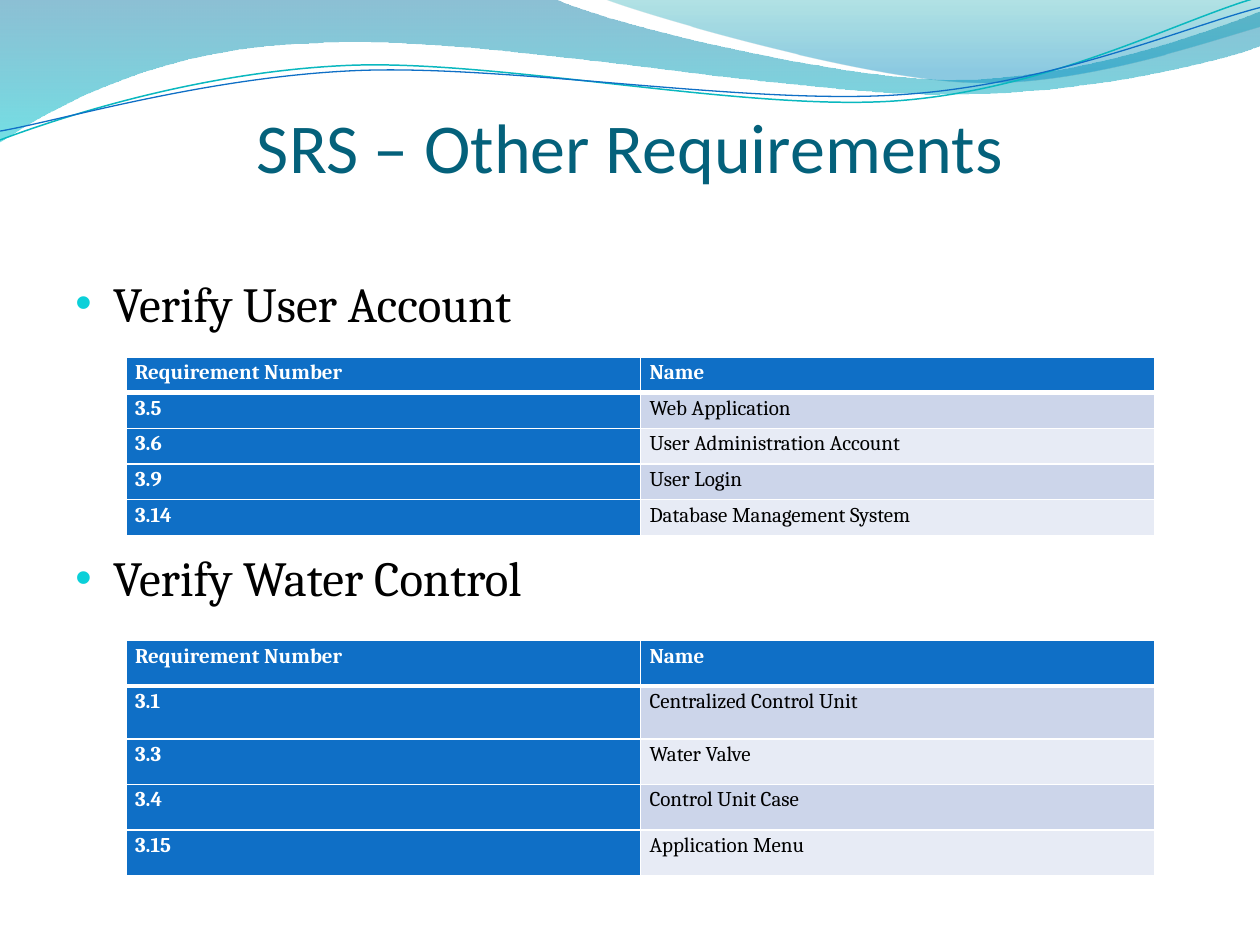
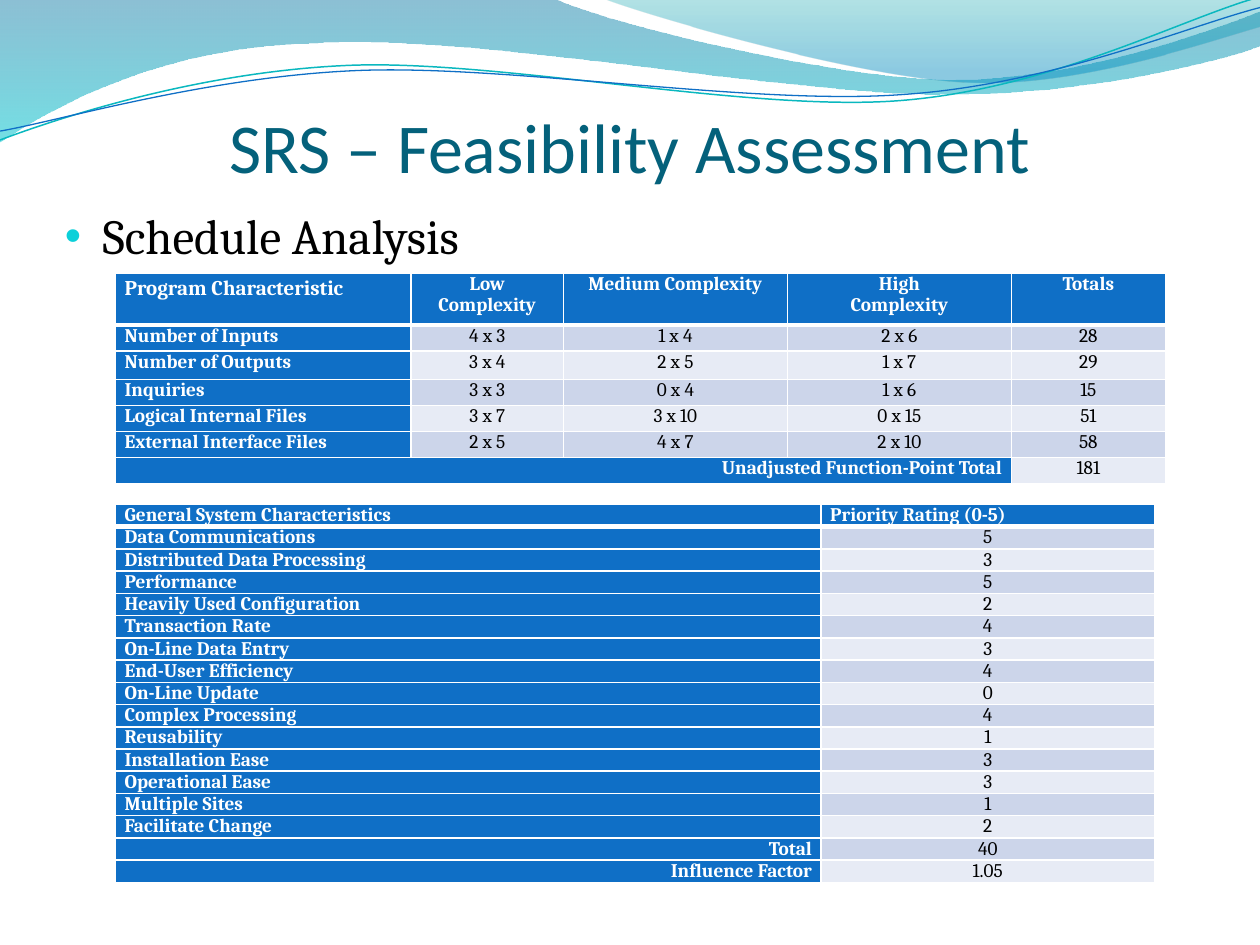
from lxml import etree
from pptx import Presentation
from pptx.dml.color import RGBColor
from pptx.enum import text
from pptx.oxml import ns
from pptx.util import Pt

COLOURS = {
    "title": "04617B", "body": "000000", "white": "FFFFFF", "bullet": "0BD0D9",
    "accent": "0F6FC6", "band_dark": "CCD5EA", "band_light": "E7EBF5",
    "teal_line": "0AB8BF", "deep_blue": "0074A1", "aqua": "00C6CF",
    "teal": "00A1A9", "sky": "008BBF",
}
LEFT, CENTER, RIGHT = text.PP_ALIGN.LEFT, text.PP_ALIGN.CENTER, text.PP_ALIGN.RIGHT

# Outlines in points: a start, then segments (one point is a line, three are a curve)
WIDE_WAVE = (0, 0), [
    [(317, -0.7)],
    [(343, 12.2), (478, 45.4), (546, 45.4)],
    [(614, 45.4), (690, 18.7), (720, 6.5)],
    [(721, 26)],
    [(708, 31.7), (626, 54.7), (537, 54)],
    [(448, 54), (275, 20.2), (185, 24.5)],
    [(93, 26), (33, 59.8), (-0.7, 81.4)],
    [(0, 0)],
]
RIGHT_WAVE = (345, -0.7), [
    [(366, 7.9), (491, 44.6), (554, 46.8)],
    [(616, 49.7), (692, 23), (720, 15.1)],
    [(720, 0)],
    [(345, -0.7)],
]
TEAL_CURVE = (0, 80), [
    [(34.6, 67), (114, 41), (199, 37.4)],
    [(284, 33.8), (427, 64), (513, 57.6)],
    [(600, 51.1), (675, 10.8), (718.6, -1.4)],
]
BLUE_CURVE = (0, 74.9), [
    [(33.8, 69.1), (118, 43.9), (204, 40.3)],
    [(290, 36.7), (430, 60.5), (516, 54)],
    [(602, 48.2), (678, 15.1), (720, 4.3)],
]


def colour(name):
    return RGBColor.from_string(COLOURS[name])


def add_xml(parent, tag, **attributes):
    return etree.SubElement(parent, ns.qn(tag), attributes)


class Deck:
    heading_font = "Calibri"
    body_font = "Cambria"

    def __init__(self):
        self.presentation = Presentation()
        self.presentation.slide_width = Pt(720)
        self.presentation.slide_height = Pt(540)
        self.slide = None

    def add_slide(self, title):
        self.slide = self.presentation.slides.add_slide(self.presentation.slide_layouts[5])
        self.wave(WIDE_WAVE, [(0, "deep_blue", 45), (1, "aqua", 55)])
        self.wave(RIGHT_WAVE, [(0, "teal", 30), (0.8, "sky", 45)])
        self.curve(TEAL_CURVE, "teal_line", 0.85)
        self.curve(BLUE_CURVE, "accent", 0.75)
        self.title(title)

    def format_runs(self, paragraph, font, size, colour_name, bold=False):
        for run in paragraph.runs:
            run.font.name = font
            run.font.size = Pt(size)
            run.font.bold = bold
            run.font.color.rgb = colour(colour_name)

    def title(self, wording):
        shape = self.slide.shapes.title
        shape.left, shape.top, shape.width, shape.height = Pt(36), Pt(55.5), Pt(648), Pt(90)
        frame = shape.text_frame
        frame.text = wording
        frame.vertical_anchor = text.MSO_ANCHOR.TOP
        frame.auto_size = text.MSO_AUTO_SIZE.NONE
        frame.margin_left = frame.margin_right = frame.margin_bottom = 0
        frame.margin_top = Pt(3.6)
        frame.paragraphs[0].alignment = CENTER
        self.format_runs(frame.paragraphs[0], self.heading_font, 40, "title")
        # Bring the title in front of the waves
        self.slide.shapes.element.append(shape.element)

    def outline(self, outline, close):
        (start_x, start_y), segments = outline
        builder = self.slide.shapes.build_freeform(Pt(start_x), Pt(start_y))
        vertices = [(Pt(x), Pt(y)) for segment in segments for x, y in segment]
        builder.add_line_segments(vertices, close=close)
        shape = builder.convert_to_shape()
        shape.shadow.inherit = False
        # Fold each run of three lines into one cubic curve
        lines = iter(list(shape.element.iter(ns.qn("a:lnTo"))))
        for segment in segments:
            group = [next(lines) for _ in segment]
            if len(group) == 3:
                bezier = etree.Element(ns.qn("a:cubicBezTo"))
                group[0].addprevious(bezier)
                for line in group:
                    bezier.append(line[0])
                    line.getparent().remove(line)
        return shape

    def wave(self, outline, stops):
        shape = self.outline(outline, close=True)
        shape.line.fill.background()
        shape.fill.gradient()
        shape.fill.gradient_angle = 270
        for stop, (position, name, _) in zip(shape.fill.gradient_stops, stops):
            stop.position = position
            stop.color.rgb = colour(name)
        opacities = [opacity for _, _, opacity in stops]
        for stop, opacity in zip(shape.element.iter(ns.qn("a:gs")), opacities):
            add_xml(stop[0], "a:alpha", val=str(opacity * 1000))

    def curve(self, outline, name, width):
        shape = self.outline(outline, close=False)
        shape.fill.background()
        shape.line.color.rgb = colour(name)
        shape.line.width = Pt(width)

    def bullets(self, items, left, top, gap=0):
        box = self.slide.shapes.add_textbox(Pt(left), Pt(top), Pt(648), Pt(346))
        frame = box.text_frame
        frame.word_wrap = True
        frame.text = "\n".join(items)
        for index, paragraph in enumerate(frame.paragraphs):
            paragraph.space_before = Pt(gap if index else 0)
            self.format_runs(paragraph, self.body_font, 28, "body")
            properties = paragraph._p.get_or_add_pPr()
            properties.set("marL", str(Pt(21.6)))
            properties.set("indent", str(Pt(-21.6)))
            add_xml(add_xml(properties, "a:buClr"), "a:srgbClr", val=COLOURS["bullet"])
            add_xml(properties, "a:buSzPct", val="95000")
            add_xml(properties, "a:buFont", typeface="Arial")
            add_xml(properties, "a:buChar", char="•")

    def borders(self, cell, top, bottom):
        properties = cell._tc.get_or_add_tcPr()
        sides = (("L", 1), ("R", 1), ("T", top), ("B", bottom))
        for index, (side, width) in enumerate(sides):
            line = etree.Element(ns.qn("a:ln" + side), w=str(Pt(width)))
            add_xml(add_xml(line, "a:solidFill"), "a:srgbClr", val=COLOURS["white"])
            properties.insert(index, line)

    def style_cell(self, cell, size, fill, ink, bold, alignment, spacing):
        cell.fill.solid()
        cell.fill.fore_color.rgb = colour(fill)
        cell.margin_left = cell.margin_right = Pt(5.2)
        cell.margin_top = cell.margin_bottom = 0
        for paragraph in cell.text_frame.paragraphs:
            paragraph.alignment = alignment
            paragraph.line_spacing = spacing
            self.format_runs(paragraph, self.body_font, size, ink, bold)

    def table(self, rows, left, top, widths, heights, size=11, spacing=0.96,
              header_align=LEFT, value_align=CENTER, total_rows=0):
        frame = self.slide.shapes.add_table(len(rows), len(widths), Pt(left), Pt(top),
                                            Pt(sum(widths)), Pt(sum(heights)))
        table = frame.table
        table.first_row = table.horz_banding = False
        for column, width in zip(table.columns, widths):
            column.width = Pt(width)
        for row, height in zip(table.rows, heights):
            row.height = Pt(height)
        for r, values in enumerate(rows):
            band = "band_dark" if r % 2 else "band_light"
            for c, value in enumerate(values):
                cell = table.cell(r, c)
                cell.text_frame.text = value
                strong = r == 0 or c == 0
                if c:
                    alignment = value_align if r else header_align
                else:
                    alignment = RIGHT if r >= len(rows) - total_rows else LEFT
                self.style_cell(cell, size, "accent" if strong else band,
                                "white" if strong else "body", strong, alignment, spacing)
                self.borders(cell, top=3 if r == 1 else 1, bottom=3 if r == 0 else 1)
        return table


def other_requirements(deck):
    deck.add_slide("SRS – Other Requirements")
    deck.bullets(["Verify User Account", "Verify Water Control"], 36, 152.5, gap=123.4)
    header = ("Requirement Number", "Name")
    account = [header, ("3.5", "Web Application"), ("3.6", "User Administration Account"),
               ("3.9", "User Login"), ("3.14", "Database Management System")]
    water = [header, ("3.1", "Centralized Control Unit"), ("3.3", "Water Valve"),
             ("3.4", "Control Unit Case"), ("3.15", "Application Menu")]
    for rows, top, heights in ((account, 204, [20.4] * 5),
                               (water, 366, [26, 30.3, 26, 26, 26])):
        deck.table(rows, 72, top, [294] * 2, heights, size=12, spacing=1.15,
                   value_align=LEFT)


def feasibility_assessment(deck):
    deck.add_slide("SRS – Feasibility Assessment")
    deck.bullets(["Schedule Analysis"], 30, 114)

    # Function points by complexity
    function_points = [
        ("Program Characteristic", "Low Complexity", "Medium Complexity",
         "High\nComplexity", "Totals"),
        ("Number of Inputs", "4 x 3", "1 x 4", "2 x 6", "28"),
        ("Number of Outputs", "3 x 4", "2 x 5", "1 x 7", "29"),
        ("Inquiries", "3 x 3", "0 x 4", "1 x 6", "15"),
        ("Logical Internal Files", "3 x 7", "3 x 10", "0 x 15", "51"),
        ("External Interface Files", "2 x 5", "4 x 7", "2 x 10", "58"),
        ("Unadjusted Function-Point Total", "", "", "", "181"),
    ]
    table = deck.table(function_points, 66, 156.2, [169, 87, 128, 128, 88],
                       [29.5, 14.9, 16.2] + [14.9] * 4, header_align=CENTER, total_rows=1)
    table.cell(6, 0).merge(table.cell(6, 3))
    deck.style_cell(table.cell(0, 0), 12, "accent", "white", True, LEFT, 1.15)

    # Ratings of the system characteristics
    ratings = [
        ("General System Characteristics", "Priority Rating (0-5)"),
        ("Data Communications", "5"), ("Distributed Data Processing", "3"),
        ("Performance", "5"), ("Heavily Used Configuration", "2"),
        ("Transaction Rate", "4"), ("On-Line Data Entry", "3"),
        ("End-User Efficiency", "4"), ("On-Line Update", "0"),
        ("Complex Processing", "4"), ("Reusability", "1"),
        ("Installation Ease", "3"), ("Operational Ease", "3"),
        ("Multiple Sites", "1"), ("Facilitate Change", "2"),
        ("Total", "40"), ("Influence Factor", "1.05"),
    ]
    deck.table(ratings, 66, 288.3, [403.2, 190.5], [12.7] * len(ratings), total_rows=2)


def main():
    deck = Deck()
    other_requirements(deck)
    feasibility_assessment(deck)
    deck.presentation.save("out.pptx")


if __name__ == "__main__":
    main()
